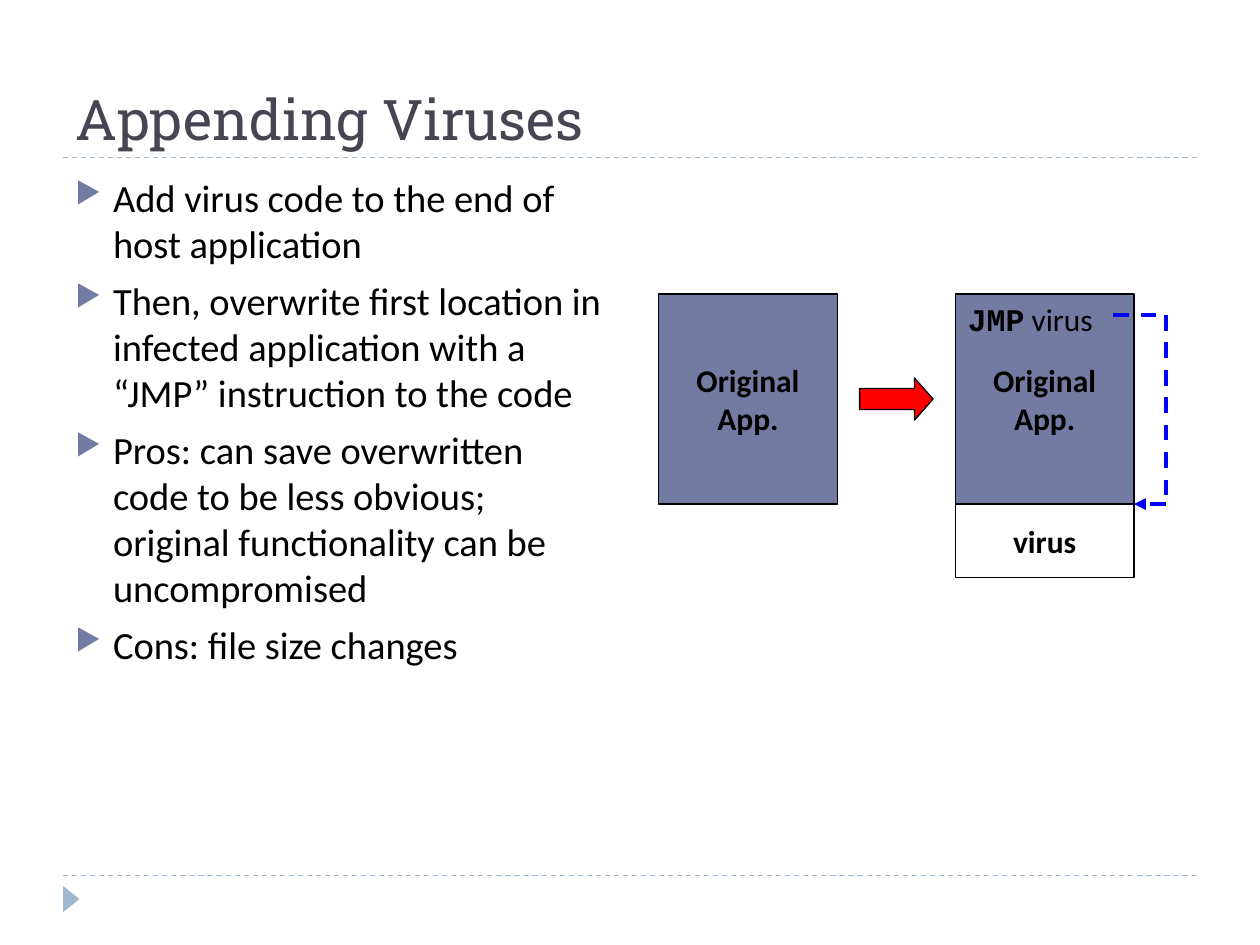
from lxml import etree
from pptx import Presentation
from pptx.dml.color import RGBColor
from pptx.enum import dml, shapes, text
from pptx.oxml import ns
from pptx.util import Cm, Pt

COLORS = {
    "title": "464653", "ink": "000000", "rule": "9FB8CD", "app": "727CA3",
    "virus": "FFFFFF", "arrow": "FF0000", "jump": "0000FF",
}
BODY_FONT = "Calibri"
POINTS = [
    "Add virus code to the end of host application",
    "Then, overwrite first location in infected application with a “JMP” instruction to the code",
    "Pros: can save overwritten code to be less obvious; original functionality can be uncompromised",
    "Cons: file size changes",
]


def rgb(name):
    return RGBColor.from_string(COLORS[name])


def set_font(font, size, color="ink", name=BODY_FONT, bold=False):
    font.name, font.size, font.bold = name, Pt(size), bold
    font.color.rgb = rgb(color)


def add_dashed_line(slide, start, end, color, width, arrowhead=False):
    line = slide.shapes.add_connector(
        shapes.MSO_CONNECTOR.STRAIGHT, *(Cm(v) for v in (*start, *end)))
    line.line.color.rgb = rgb(color)
    line.line.width = Pt(width)
    line.line.dash_style = dml.MSO_LINE.DASH
    if arrowhead:
        etree.SubElement(line.line._get_or_add_ln(), ns.qn("a:tailEnd"), type="triangle")
    etree.SubElement(line._element.spPr, ns.qn("a:effectLst"))


def add_block(slide, preset, box, fill, outline=True):
    block = slide.shapes.add_shape(preset, *(Cm(v) for v in box))
    block.shadow.inherit = False
    block.fill.solid()
    block.fill.fore_color.rgb = rgb(fill)
    if outline:
        block.line.color.rgb = rgb("ink")
        block.line.width = Pt(0.75)
    else:
        block.line.fill.background()
    return block


def add_labelled_block(slide, box, fill, lines):
    frame = add_block(slide, shapes.MSO_SHAPE.RECTANGLE, box, fill).text_frame
    frame.word_wrap = False
    frame.vertical_anchor = text.MSO_ANCHOR.MIDDLE
    for i, words in enumerate(lines):
        label = frame.paragraphs[0] if i == 0 else frame.add_paragraph()
        label.text = words
        label.alignment = text.PP_ALIGN.CENTER
        set_font(label.font, 18, bold=True)


def add_bullet(paragraph):
    props = paragraph._p.get_or_add_pPr()
    props.set("marL", str(Cm(0.76)))
    props.set("indent", str(-Cm(0.76)))
    color = etree.SubElement(props, ns.qn("a:buClr"))
    etree.SubElement(color, ns.qn("a:srgbClr"), val=COLORS["app"])
    etree.SubElement(props, ns.qn("a:buSzPct"), val="76000")
    etree.SubElement(props, ns.qn("a:buChar"), char="▶")


def add_frame_rules(slide, left, top, width, bottom):
    """Draw the rules under the title and above the footer, and the footer marker."""
    for y in (top, bottom):
        add_dashed_line(slide, (left, y), (left + width, y), "rule", 0.75)
    marker = add_block(slide, shapes.MSO_SHAPE.ISOSCELES_TRIANGLE,
                       (left - 0.1, bottom + 0.31, 0.53, 0.33), "rule", outline=False)
    marker.rotation = 90


def add_title(slide, left, top, width, height):
    frame = slide.shapes.add_textbox(Cm(left), Cm(top), Cm(width), Cm(height)).text_frame
    frame.word_wrap = True
    frame.vertical_anchor = text.MSO_ANCHOR.BOTTOM
    title = frame.paragraphs[0]
    title.text = "Appending Viruses"
    set_font(title.font, 32, "title", "Roboto Slab")


def add_points(slide, left, top, width, height):
    frame = slide.shapes.add_textbox(Cm(left), Cm(top), Cm(width), Cm(height)).text_frame
    frame.word_wrap = True
    for i, words in enumerate(POINTS):
        point = frame.paragraphs[0] if i == 0 else frame.add_paragraph()
        point.text = words
        if i:
            point.space_before = Pt(6)
        add_bullet(point)
        set_font(point.font, 22)


def add_jump_label(slide, left, top):
    frame = slide.shapes.add_textbox(Cm(left), Cm(top), Cm(3.18), Cm(1.02)).text_frame
    frame.word_wrap = False
    frame.auto_size = text.MSO_AUTO_SIZE.SHAPE_TO_FIT_TEXT
    for words, font, bold in (("JMP", "Courier New", True), (" virus", BODY_FONT, False)):
        run = frame.paragraphs[0].add_run()
        run.text = words
        set_font(run.font, 18, name=font, bold=bold)


def add_infection_diagram(slide, left, top, width):
    """Show the host application before and after the virus is appended."""
    app_width, app_height, virus_height = 3.6, 4.23, 1.48
    infected = left + width - app_width
    virus_top = top + app_height
    arrow_width, arrow_height = 1.48, 0.85
    arrow_box = ((left + infected + app_width - arrow_width) / 2,
                 top + (app_height - arrow_height) / 2, arrow_width, arrow_height)

    add_labelled_block(slide, (left, top, app_width, app_height), "app", ["Original", "App."])
    arrow = add_block(slide, shapes.MSO_SHAPE.RIGHT_ARROW, arrow_box, "arrow")
    arrow.adjustments[1] = 0.44
    add_labelled_block(slide, (infected, top, app_width, app_height), "app", ["Original", "App."])
    add_labelled_block(slide, (infected, virus_top, app_width, virus_height), "virus", ["virus"])
    add_jump_label(slide, infected, top)

    right = infected + app_width
    jump = [(right - 0.42, top + 0.42), (right + 0.64, top + 0.42),
            (right + 0.64, virus_top), (right, virus_top)]
    for start, end in zip(jump, jump[1:]):
        add_dashed_line(slide, start, end, "jump", 2.25, arrowhead=end == jump[-1])


def main():
    deck = Presentation()
    deck.slide_width, deck.slide_height = Cm(25.4), Cm(19.05)
    slide = deck.slides.add_slide(deck.slide_layouts[6])
    add_frame_rules(slide, 1.27, 3.18, 22.86, 17.65)
    add_title(slide, 1.27, 0.64, 22.86, 2.54)
    add_points(slide, 1.27, 3.38, 11.23, 13.72)
    add_infection_diagram(slide, 13.28, 5.93, 9.58)
    deck.save("out.pptx")


if __name__ == "__main__":
    main()
